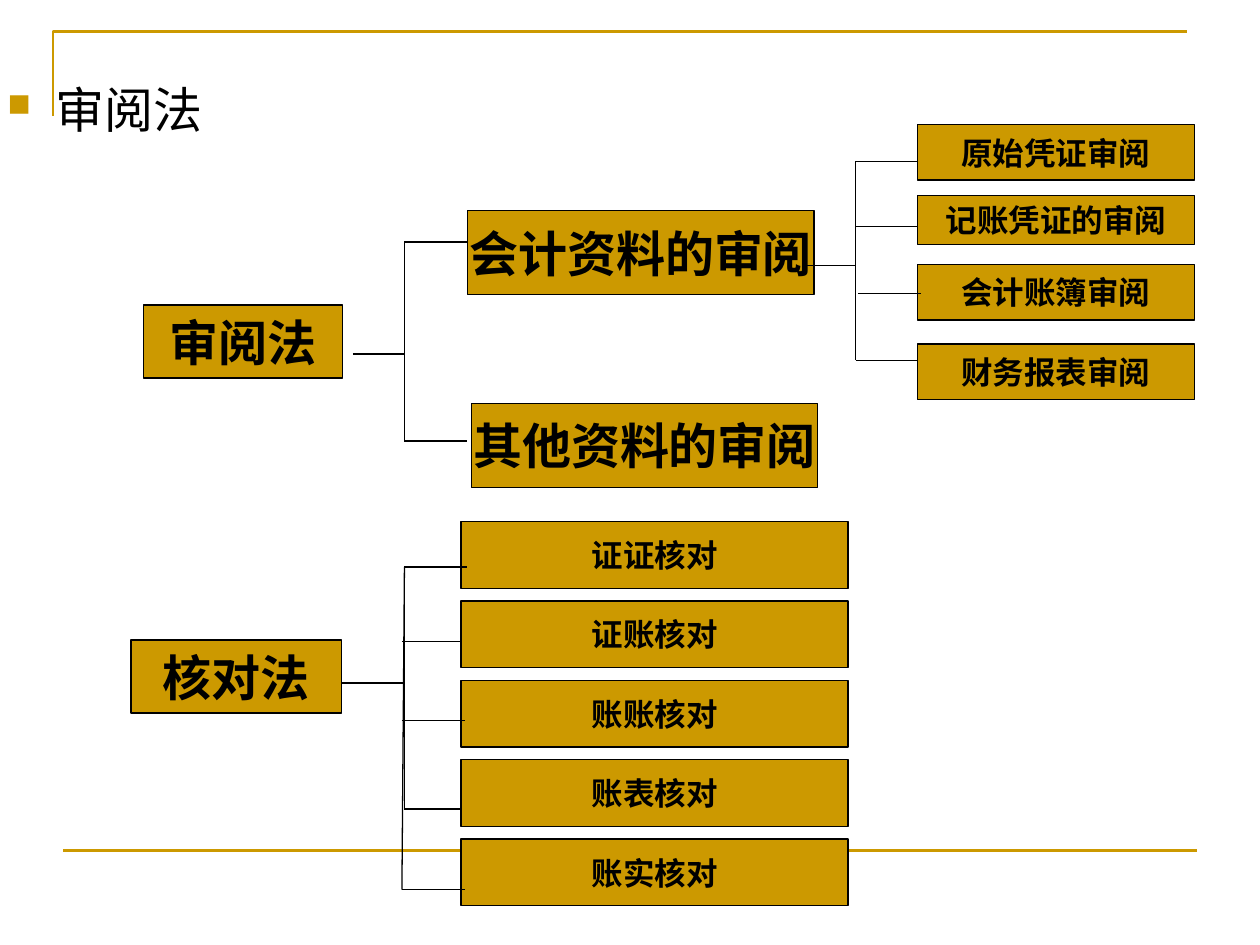
from dataclasses import dataclass

import pptx
import pptx.dml.color
import pptx.enum.shapes
import pptx.enum.text
import pptx.oxml.ns
import pptx.util
from lxml import etree
from pptx.util import Inches


@dataclass(frozen=True)
class Theme:
    gold: str = "CC9900"
    black: str = "000000"
    box_font: str = "Arial"
    title_font: str = "Noto Sans CJK SC"
    large: float = 28
    small: float = 18
    rule: float = 1.5
    thin: float = 0.75


@dataclass(frozen=True)
class Box:
    text: str
    left: float
    top: float
    width: float
    height: float
    size: float


@dataclass(frozen=True)
class Line:
    x1: float
    y1: float
    x2: float
    y2: float


THEME = Theme()
STUB = 0.5

CHECKS = ["证证核对", "证账核对", "账账核对", "账表核对", "账实核对"]
REVIEWS = [
    ("原始凭证审阅", 0.99, 0.44),
    ("记账凭证的审阅", 1.55, 0.39),
    ("会计账簿审阅", 2.1, 0.44),
    ("财务报表审阅", 2.73, 0.44),
]
BOXES = [
    Box("审阅法", 1.14, 2.42, 1.58, 0.58, THEME.large),
    Box("会计资料的审阅", 3.71, 1.67, 2.75, 0.67, THEME.large),
    Box("其他资料的审阅", 3.74, 3.2, 2.75, 0.67, THEME.large),
    Box("核对法", 1.04, 5.08, 1.67, 0.58, THEME.large),
    *(Box(text, 3.66, 4.14 + 0.63 * i, 3.07, 0.53, THEME.small)
      for i, text in enumerate(CHECKS)),
    *(Box(text, 7.28, top, 2.2, height, THEME.small)
      for text, top, height in REVIEWS),
]


def stubs(x: float, *ys: float) -> list[Line]:
    """Short horizontal branches that leave a trunk at x."""
    return [Line(x, y, x + STUB, y) for y in ys]


LINES_BEHIND = [
    Line(2.8, 2.81, 3.21, 2.81),
    Line(3.21, 1.92, 3.21, 3.5),
    *stubs(3.21, 1.92, 3.5, 6.42),
    *stubs(3.19, 5.09),
    Line(6.79, 1.28, 6.79, 2.86),
    *stubs(6.79, 1.28, 1.8, 2.86),
]
LINES_IN_FRONT = [
    Line(6.37, 2.11, 6.79, 2.11),
    *stubs(6.81, 2.33),
    Line(2.71, 5.42, 3.21, 5.42),
    Line(3.21, 4.5, 3.21, 6.42),
    Line(3.21, 4.5, 3.19, 7.06),
    *stubs(3.21, 4.5),
    *stubs(3.19, 5.72, 7.06),
]


def rgb(color: str) -> pptx.dml.color.RGBColor:
    return pptx.dml.color.RGBColor.from_string(color)


def add_text(p, text: str, *, size: float, font: str, bold: bool = False,
             color: str = THEME.black) -> None:
    r = p.add_run()
    r.text = text
    r.font.size = pptx.util.Pt(size)
    r.font.name = font
    r.font.bold = bold
    r.font.color.rgb = rgb(color)
    r.font.color.rgb = rgb(color)
    latin = r.font._element.find(pptx.oxml.ns.qn("a:latin"))
    ea = etree.Element(pptx.oxml.ns.qn("a:ea"), typeface=font)
    latin.addnext(ea)


def set_outline(sp, color: str, width: float) -> None:
    sp.line.color.rgb = rgb(color)
    sp.line.width = pptx.util.Pt(width)


def add_line(s, line: Line, color: str = THEME.black,
             width: float = THEME.thin) -> None:
    sp = s.shapes.add_connector(
        pptx.enum.shapes.MSO_CONNECTOR.STRAIGHT,
        Inches(line.x1), Inches(line.y1), Inches(line.x2), Inches(line.y2))
    set_outline(sp, color, width)
    etree.SubElement(sp._element.spPr, pptx.oxml.ns.qn("a:effectLst"))


def add_box(s, box: Box) -> None:
    sp = s.shapes.add_shape(
        pptx.enum.shapes.MSO_SHAPE.RECTANGLE, Inches(box.left),
        Inches(box.top), Inches(box.width), Inches(box.height))
    sp.shadow.inherit = False
    sp.fill.solid()
    sp.fill.fore_color.rgb = rgb(THEME.gold)
    set_outline(sp, THEME.black, THEME.thin)
    tf = sp.text_frame
    tf.word_wrap = False
    tf.vertical_anchor = pptx.enum.text.MSO_ANCHOR.MIDDLE
    p = tf.paragraphs[0]
    p.alignment = pptx.enum.text.PP_ALIGN.CENTER
    add_text(p, box.text, size=box.size, font=THEME.box_font, bold=True)


def add_frame(s) -> None:
    """Gold corner at the top left and gold rule at the bottom."""
    builder = s.shapes.build_freeform(Inches(0.42), Inches(0.92))
    builder.add_line_segments(
        [(Inches(0.42), Inches(0.25)), (Inches(9.42), Inches(0.25))],
        close=False)
    sp = builder.convert_to_shape()
    sp.shadow.inherit = False
    sp.fill.background()
    set_outline(sp, THEME.gold, THEME.rule)
    add_line(s, Line(0.5, 6.75, 9.5, 6.75), THEME.gold, THEME.rule)


def add_title(s, text: str) -> None:
    sp = s.shapes.add_textbox(
        Inches(-0.04), Inches(0.58), Inches(9.25), Inches(5.95))
    tf = sp.text_frame
    tf.word_wrap = True
    p = tf.paragraphs[0]
    pPr = p._p.get_or_add_pPr()
    pPr.set("marL", str(Inches(0.38)))
    pPr.set("indent", str(Inches(-0.38)))
    qn = pptx.oxml.ns.qn
    bullet_color = etree.SubElement(pPr, qn("a:buClr"))
    etree.SubElement(bullet_color, qn("a:srgbClr"), val=THEME.gold)
    etree.SubElement(pPr, qn("a:buSzPct"), val="65000")
    etree.SubElement(pPr, qn("a:buChar"), char="■")
    add_text(p, text, size=THEME.large, font=THEME.title_font)


def main() -> None:
    prs = pptx.Presentation()
    prs.slide_width, prs.slide_height = Inches(10), Inches(7.5)
    s = prs.slides.add_slide(prs.slide_layouts[6])
    add_frame(s)
    add_title(s, "审阅法")
    for line in LINES_BEHIND:
        add_line(s, line)
    for box in BOXES:
        add_box(s, box)
    for line in LINES_IN_FRONT:
        add_line(s, line)
    prs.save("out.pptx")


if __name__ == "__main__":
    main()
